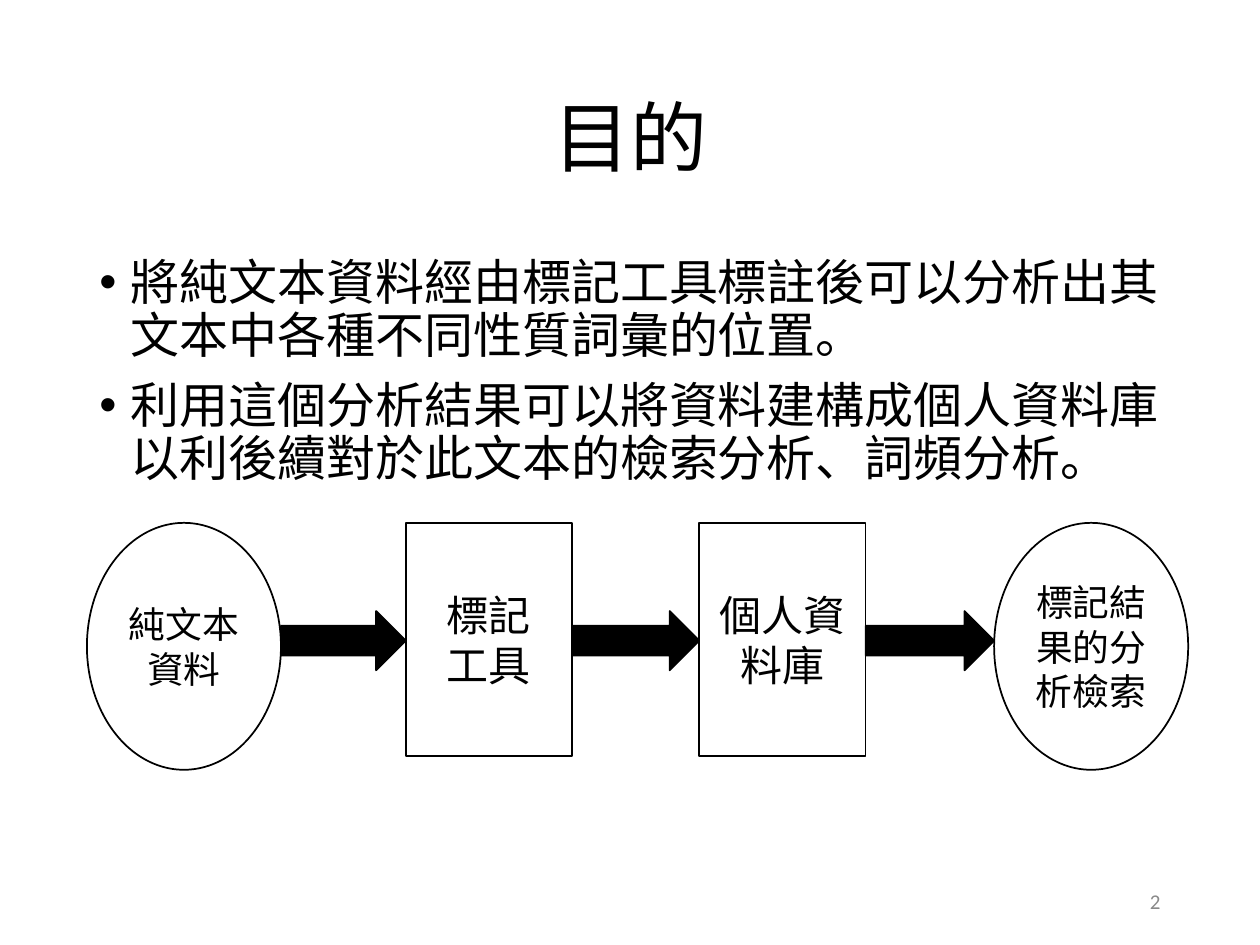
from lxml.etree import SubElement
from pptx import Presentation
from pptx.dml.color import RGBColor
from pptx.enum.shapes import MSO_SHAPE
from pptx.enum.text import MSO_ANCHOR, MSO_AUTO_SIZE, PP_ALIGN
from pptx.oxml.ns import qn
from pptx.util import Inches, Pt

BLACK = RGBColor(0x00, 0x00, 0x00)
WHITE = RGBColor(0xFF, 0xFF, 0xFF)
GRAY = RGBColor(0x89, 0x89, 0x89)

presentation = Presentation()
presentation.slide_width = Inches(10)
presentation.slide_height = Inches(7.5)
COLUMN = presentation.slide_width / 100
ROW = presentation.slide_height / 75


def grid_box(left, top, width, height):
    """Turn grid columns and rows into left, top, width and height lengths."""
    return [round(left * COLUMN), round(top * ROW), round(width * COLUMN), round(height * ROW)]


def write_text(shape, *lines, size, color=BLACK, align=PP_ALIGN.CENTER, anchor=MSO_ANCHOR.MIDDLE,
               margins=(0.1, 0.05), line_spacing=None, space_before=0, bullet=None):
    frame = shape.text_frame
    frame.word_wrap = True
    frame.auto_size = MSO_AUTO_SIZE.NONE
    frame.vertical_anchor = anchor
    frame.margin_left = frame.margin_right = Inches(margins[0])
    frame.margin_top = frame.margin_bottom = Inches(margins[1])
    for index, line in enumerate(lines):
        paragraph = frame.add_paragraph() if index else frame.paragraphs[0]
        paragraph.text = line
        paragraph.alignment = align
        paragraph.line_spacing = line_spacing
        paragraph.space_before = Pt(space_before if index else 0)
        if bullet:
            properties = paragraph._p.get_or_add_pPr()
            properties.set("marL", str(Inches(0.25)))
            properties.set("indent", str(-Inches(0.25)))
            SubElement(properties, qn("a:buFont"), typeface="Arial")
            SubElement(properties, qn("a:buChar"), char=bullet)
        paragraph.font.name = "Calibri"
        paragraph.font.size = Pt(size)
        paragraph.font.color.rgb = color


slide = presentation.slides.add_slide(presentation.slide_layouts[5])
shapes = slide.shapes

title = shapes.title
title.left, title.top, title.width, title.height = grid_box(6.9, 4, 86.3, 14.5)
write_text(title, "目的", size=44, line_spacing=0.9)

body = shapes.add_textbox(*grid_box(6.9, 20, 86.3, 47.6))
write_text(
    body,
    "將純文本資料經由標記工具標註後可以分析出其文本中各種不同性質詞彙的位置。",
    "利用這個分析結果可以將資料建構成個人資料庫以利後續對於此文本的檢索分析、詞頻分析。",
    size=28, align=PP_ALIGN.LEFT, anchor=MSO_ANCHOR.TOP,
    line_spacing=0.9, space_before=10, bullet="•",
)

# Flow: each stage is outlined, and an arrow fills the gap to the next one
stage_formats = {
    MSO_SHAPE.OVAL: (15.4, 19.6, 21),
    MSO_SHAPE.RECTANGLE: (13.2, 18.5, 24),
}
stages = [
    (MSO_SHAPE.OVAL, 6.9, ["純文本資料"]),
    (MSO_SHAPE.RECTANGLE, 32.2, ["標記", "工具"]),
    (MSO_SHAPE.RECTANGLE, 55.5, ["個人資料庫"]),
    (MSO_SHAPE.OVAL, 78.9, ["標記結果的分析檢索"]),
]
previous_right = None
for kind, left, lines in stages:
    width, height, size = stage_formats[kind]
    stage = shapes.add_shape(kind, *grid_box(left, 41.5, width, height))
    write_text(stage, *lines, size=size, margins=(0.08, 0.04))
    parts = [(stage, WHITE)]
    if previous_right is not None:
        arrow = shapes.add_shape(
            MSO_SHAPE.RIGHT_ARROW, *grid_box(previous_right, 48.5, left - previous_right, 4.7))
        parts.append((arrow, BLACK))
    for shape, fill_color in parts:
        shape.shadow.inherit = False
        shape.fill.solid()
        shape.fill.fore_color.rgb = fill_color
        shape.line.color.rgb = BLACK
        shape.line.width = Pt(1)
    previous_right = left + width

page_number = shapes.add_textbox(*grid_box(70.6, 69.5, 22.5, 4))
write_text(page_number, "2", size=12, color=GRAY, align=PP_ALIGN.RIGHT)

presentation.save("out.pptx")
